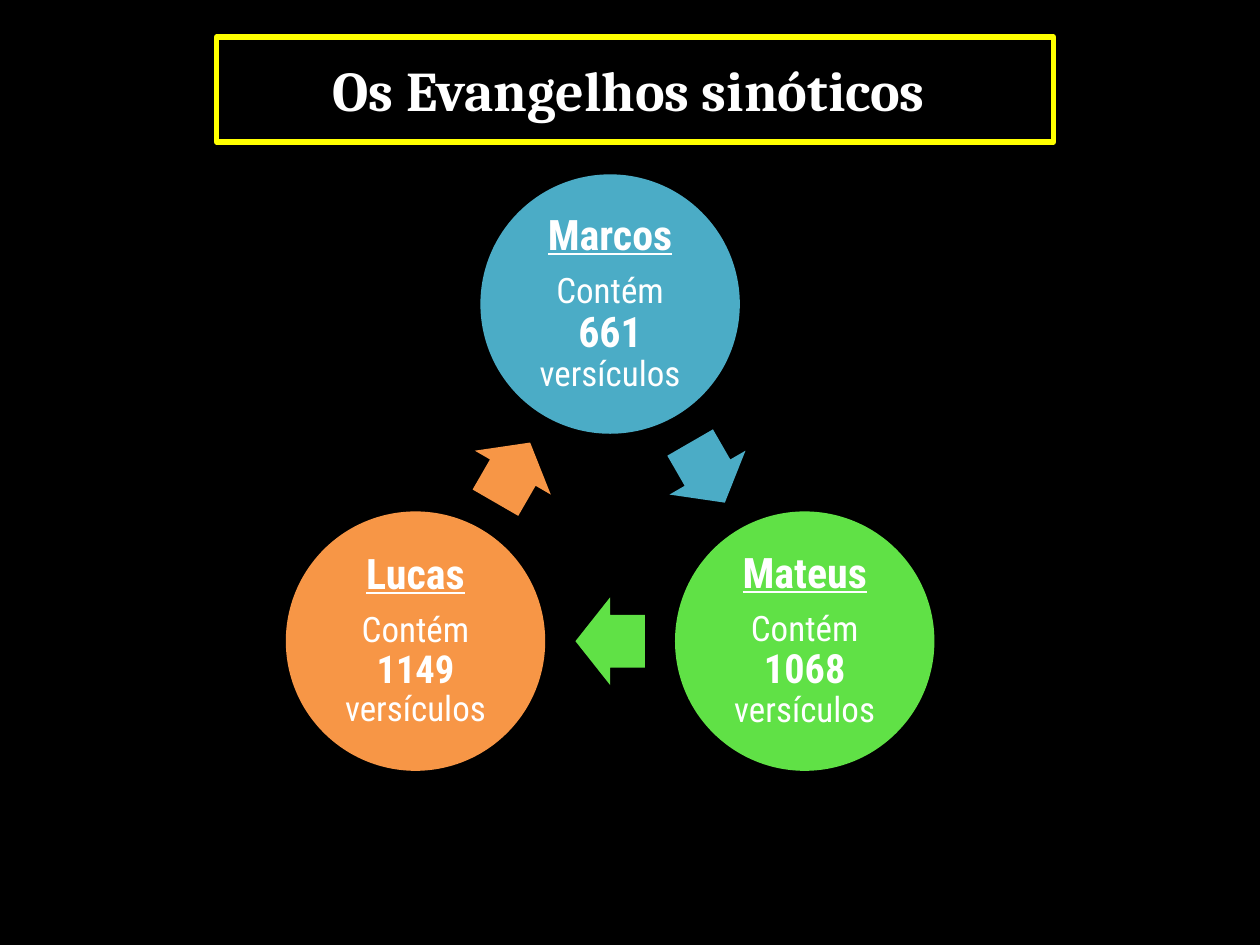
from dataclasses import dataclass
from math import cos, radians, sin

from pptx import Presentation
from pptx.dml.color import RGBColor
from pptx.enum.shapes import MSO_SHAPE
from pptx.enum.text import MSO_ANCHOR, MSO_AUTO_SIZE, PP_ALIGN
from pptx.util import Cm, Pt

CIRCLE, ARROW = MSO_SHAPE.OVAL, MSO_SHAPE.RIGHT_ARROW
CENTER, MIDDLE = PP_ALIGN.CENTER, MSO_ANCHOR.MIDDLE
GROW = MSO_AUTO_SIZE.SHAPE_TO_FIT_TEXT
TITLE_ONLY = 5


@dataclass(frozen=True)
class Theme:
    background: str = "000000"
    text: str = "FFFFFF"
    frame: str = "FFFF00"
    blue: str = "4BACC6"
    green: str = "60E146"
    orange: str = "F79646"
    title_font: str = "Cambria"
    body_font: str = "Roboto Condensed"
    title_size: int = 32
    name_size: int = 24
    body_size: int = 20


THEME = Theme()

# Cycle geometry, in centimetres
CYCLE_X, CYCLE_Y, CYCLE_RADIUS = 12.3, 10.66, 4.53
DIAMETER = 5.23
ARROW_LENGTH, ARROW_WIDTH = 1.4, 1.77
FIRST_ANGLE = -90

# Gospel, verses, size of the number, colour
GOSPELS = [
    ("Marcos", "661", 24, THEME.blue),
    ("Mateus", "1068", 23, THEME.green),
    ("Lucas", "1149", 22, THEME.orange),
]


def add_run(paragraph, text, size, font=THEME.body_font, bold=False, underline=False):
    run = paragraph.add_run()
    run.text = text
    run.font.name = font
    run.font.size = Pt(size)
    run.font.bold = bold
    run.font.underline = underline
    run.font.color.rgb = RGBColor.from_string(THEME.text)


def add_on_cycle(slide, preset, angle, radius, width, height, color):
    """Place a filled shape centred at an angle around the cycle."""
    x = CYCLE_X + radius * cos(radians(angle))
    y = CYCLE_Y + radius * sin(radians(angle))
    shape = slide.shapes.add_shape(
        preset, Cm(x - width / 2), Cm(y - height / 2), Cm(width), Cm(height))
    shape.shadow.inherit = False
    shape.fill.solid()
    shape.fill.fore_color.rgb = RGBColor.from_string(color)
    shape.line.fill.background()
    return shape


def add_title(slide, text):
    title = slide.shapes.title
    title.left, title.top, title.width, title.height = Cm(4.37), Cm(0.99), Cm(16.87), Cm(1.63)
    title.line.color.rgb = RGBColor.from_string(THEME.frame)
    title.line.width = Pt(3)
    frame = title.text_frame
    frame.auto_size = GROW
    frame.vertical_anchor = MIDDLE
    heading = frame.paragraphs[0]
    heading.alignment = CENTER
    add_run(heading, text, THEME.title_size, THEME.title_font, bold=True)


def add_gospel(slide, angle, name, verses, verses_size, color):
    circle = add_on_cycle(slide, CIRCLE, angle, CYCLE_RADIUS, DIAMETER, DIAMETER, color)
    frame = circle.text_frame
    frame.word_wrap = True
    frame.vertical_anchor = MIDDLE
    frame.margin_left = frame.margin_right = Cm(0.08)
    frame.margin_top = frame.margin_bottom = Cm(0.08)
    heading, content = frame.paragraphs[0], frame.add_paragraph()
    for paragraph in (heading, content):
        paragraph.alignment = CENTER
        paragraph.line_spacing = 0.9
        paragraph.space_after = Pt(8)
    add_run(heading, name, THEME.name_size, bold=True, underline=True)
    add_run(content, "Contém ", THEME.body_size)
    add_run(content, f"{verses} ", verses_size, bold=True)
    add_run(content, "versículos", THEME.body_size)


def add_cycle_arrow(slide, angle, color):
    """Point along the cycle, halfway between two circles."""
    arrow = add_on_cycle(
        slide, ARROW, angle, CYCLE_RADIUS / 2, ARROW_LENGTH, ARROW_WIDTH, color)
    arrow.rotation = angle + 90
    arrow.adjustments[0] = 0.6
    arrow.adjustments[1] = 0.5


def main():
    prs = Presentation()
    prs.slide_width, prs.slide_height = Cm(25.4), Cm(19.05)
    slide = prs.slides.add_slide(prs.slide_layouts[TITLE_ONLY])
    slide.background.fill.solid()
    slide.background.fill.fore_color.rgb = RGBColor.from_string(THEME.background)

    # Title
    add_title(slide, "Os Evangelhos sinóticos ")

    # Cycle of gospels, each followed by its arrow
    step = 360 / len(GOSPELS)
    for index, (name, verses, verses_size, color) in enumerate(GOSPELS):
        angle = FIRST_ANGLE + index * step
        add_gospel(slide, angle, name, verses, verses_size, color)
        add_cycle_arrow(slide, angle + step / 2, color)

    prs.save("out.pptx")


if __name__ == "__main__":
    main()
